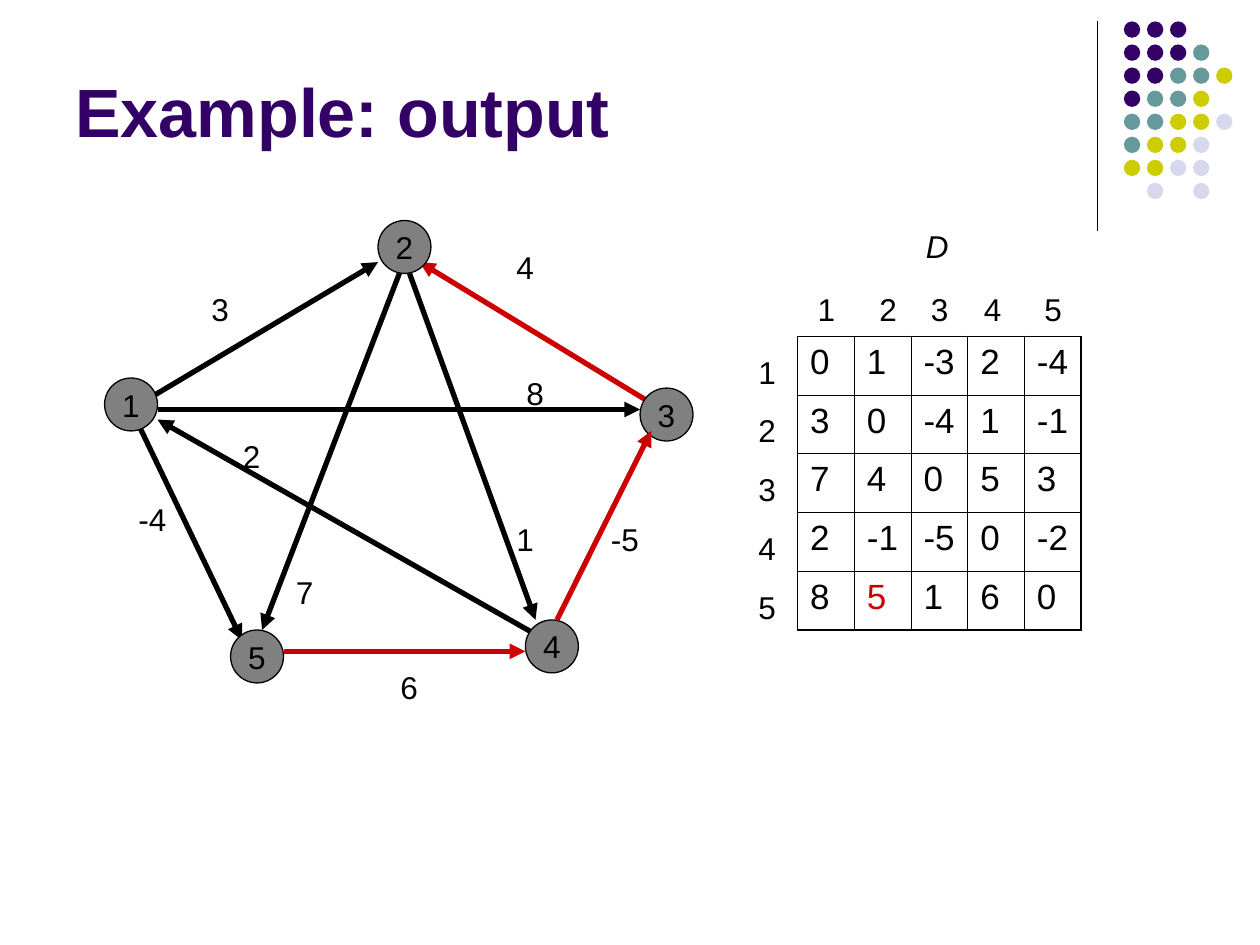
from pptx import Presentation
from pptx.dml.color import RGBColor
from pptx.enum.shapes import MSO_CONNECTOR, MSO_SHAPE
from pptx.enum.text import MSO_ANCHOR, PP_ALIGN
from pptx.oxml import parse_xml
from pptx.oxml.ns import nsdecls, qn
from pptx.util import Inches, Pt

color = RGBColor.from_string
BLACK, RED, PURPLE = "000000", "CC0000", "330066"

deck = Presentation()
deck.slide_width, deck.slide_height = Inches(10), Inches(7.5)
page = deck.slides.add_slide(deck.slide_layouts[6])


def write(frame, text, size=18, ink=BLACK, bold=False, italic=False,
          align=PP_ALIGN.LEFT, anchor=MSO_ANCHOR.TOP, before=0, wrap=True):
    frame.word_wrap = wrap
    frame.vertical_anchor = anchor
    for index, line in enumerate(text.split("\n")):
        para = frame.paragraphs[0] if index == 0 else frame.add_paragraph()
        para.alignment = align
        para.space_before = Pt(before)
        span = para.add_run()
        span.text = line
        span.font.name = "Arial"
        span.font.size = Pt(size)
        span.font.bold = bold
        span.font.italic = italic
        span.font.color.rgb = color(ink)


def draw_line(start, end, ink=BLACK, width=3, arrow=True):
    line = page.shapes.add_connector(
        MSO_CONNECTOR.STRAIGHT, *[Inches(value) for value in start + end])
    line.line.color.rgb = color(ink)
    line.line.width = Pt(width)
    properties = line.element.spPr
    if arrow:
        properties.find(qn("a:ln")).append(
            parse_xml(f'<a:tailEnd {nsdecls("a")} type="triangle"/>'))
    properties.append(parse_xml(f'<a:effectLst {nsdecls("a")}/>'))


draw_line((8.71, 0.17), (8.71, 1.83), width=0.75, arrow=False)

dot_colors = {"P": PURPLE, "T": "669999", "Y": "CCCC00", "L": "D8D8EC"}
dot_rows = ["PPP", "PPPT", "PPTTY", "PTTY", "TTYYL", "TYYL", "YYLL", ".L.L"]
for row, dots in enumerate(dot_rows):
    for column, key in enumerate(dots):
        if key in dot_colors:
            dot = page.shapes.add_shape(
                MSO_SHAPE.OVAL, Inches(8.92 + 0.183 * column),
                Inches(0.17 + 0.183 * row), Inches(0.13), Inches(0.13))
            dot.shadow.inherit = False
            dot.fill.solid()
            dot.fill.fore_color.rgb = color(dot_colors[key])
            dot.line.fill.background()

title = page.shapes.add_textbox(Inches(0.5), Inches(0.3), Inches(9), Inches(0.95))
write(title.text_frame, "Example: output", size=39, ink=PURPLE, bold=True,
      anchor=MSO_ANCHOR.BOTTOM)

edges_behind = [
    ((1.08, 3.33), (1.92, 5.08), BLACK),
    ((5.25, 3.25), (3.33, 2.08), RED),
    ((4.33, 5.08), (1.25, 3.33), BLACK),
    ((1.17, 3.17), (3, 2.08), BLACK),
]
edges_in_front = [
    ((2.25, 5.17), (4.17, 5.17), RED),
    ((4.42, 4.92), (5.17, 3.42), RED),
    ((3.17, 2.17), (2.08, 5), BLACK),
    ((3.25, 2.17), (4.25, 4.92), BLACK),
    ((1.25, 3.25), (5.08, 3.25), BLACK),
]
nodes = [("2", 3, 1.75), ("1", 0.83, 3), ("5", 1.83, 5),
         ("3", 5.08, 3.08), ("4", 4.17, 4.92)]

for edge in edges_behind:
    draw_line(*edge)
for name, left, top in nodes:
    node = page.shapes.add_shape(
        MSO_SHAPE.OVAL, Inches(left), Inches(top), Inches(0.42), Inches(0.42))
    node.shadow.inherit = False
    node.fill.solid()
    node.fill.fore_color.rgb = color("808080")
    node.line.color.rgb = color(BLACK)
    node.line.width = Pt(0.75)
    write(node.text_frame, name, align=PP_ALIGN.CENTER,
          anchor=MSO_ANCHOR.MIDDLE, wrap=False)
for edge in edges_in_front:
    draw_line(*edge)

weights = [
    ("3", 1.58, 2.25, 0.42), ("4", 4, 1.92, 0.58), ("8", 4.08, 2.92, 0.42),
    ("-4", 1, 3.92, 0.58), ("6", 3.08, 5.25, 0.67), ("2", 1.83, 3.42, 0.33),
    ("1", 4, 4.08, 0.25), ("-5", 4.75, 4.08, 0.5), ("7", 2.25, 4.5, 0.33),
]
for weight, left, top, width in weights:
    box = page.shapes.add_textbox(
        Inches(left), Inches(top), Inches(width), Inches(0.4))
    write(box.text_frame, weight)

distances = [
    [0, 1, -3, 2, -4],
    [3, 0, -4, 1, -1],
    [7, 4, 0, 5, 3],
    [2, -1, -5, 0, -2],
    [8, 5, 1, 6, 0],
]
count = len(distances)
holder = page.shapes.add_table(
    count, count, Inches(6.33), Inches(2.67), Inches(2.25), Inches(2.33))
matrix = holder.table
matrix.first_row = False
matrix.horz_banding = False
for row, values in enumerate(distances):
    for column, value in enumerate(values):
        cell = matrix.cell(row, column)
        cell.fill.background()
        write(cell.text_frame, str(value), size=20,
              ink=RED if (row, column) == (4, 1) else BLACK)
        outer_sides = {"L": column == 0, "R": column == count - 1,
                       "T": row == 0, "B": row == count - 1}
        for position, (side, outer) in enumerate(outer_sides.items()):
            width = Pt(1.08 if outer else 0.45)
            cell._tc.tcPr.insert(position, parse_xml(
                f'<a:ln{side} {nsdecls("a")} w="{width}"><a:solidFill>'
                f'<a:srgbClr val="{BLACK}"/></a:solidFill></a:ln{side}>'))

column_labels = page.shapes.add_textbox(
    Inches(6.25), Inches(2.25), Inches(3.25), Inches(0.4))
write(column_labels.text_frame, "\t1\t2\t3\t4\t5")
stops = "".join(f'<a:tab pos="{Inches(stop)}" algn="l"/>'
                for stop in (0.14, 0.63, 1.04, 1.46, 1.94))
column_labels.element.xpath(".//a:pPr")[0].append(
    parse_xml(f'<a:tabLst {nsdecls("a")}>{stops}</a:tabLst>'))

row_labels = page.shapes.add_textbox(
    Inches(5.92), Inches(2.75), Inches(0.58), Inches(2.23))
write(row_labels.text_frame, "1\n2\n3\n4\n5", before=12)

matrix_name = page.shapes.add_textbox(
    Inches(7.25), Inches(1.75), Inches(0.75), Inches(0.4))
write(matrix_name.text_frame, "D", italic=True)

deck.save("out.pptx")
